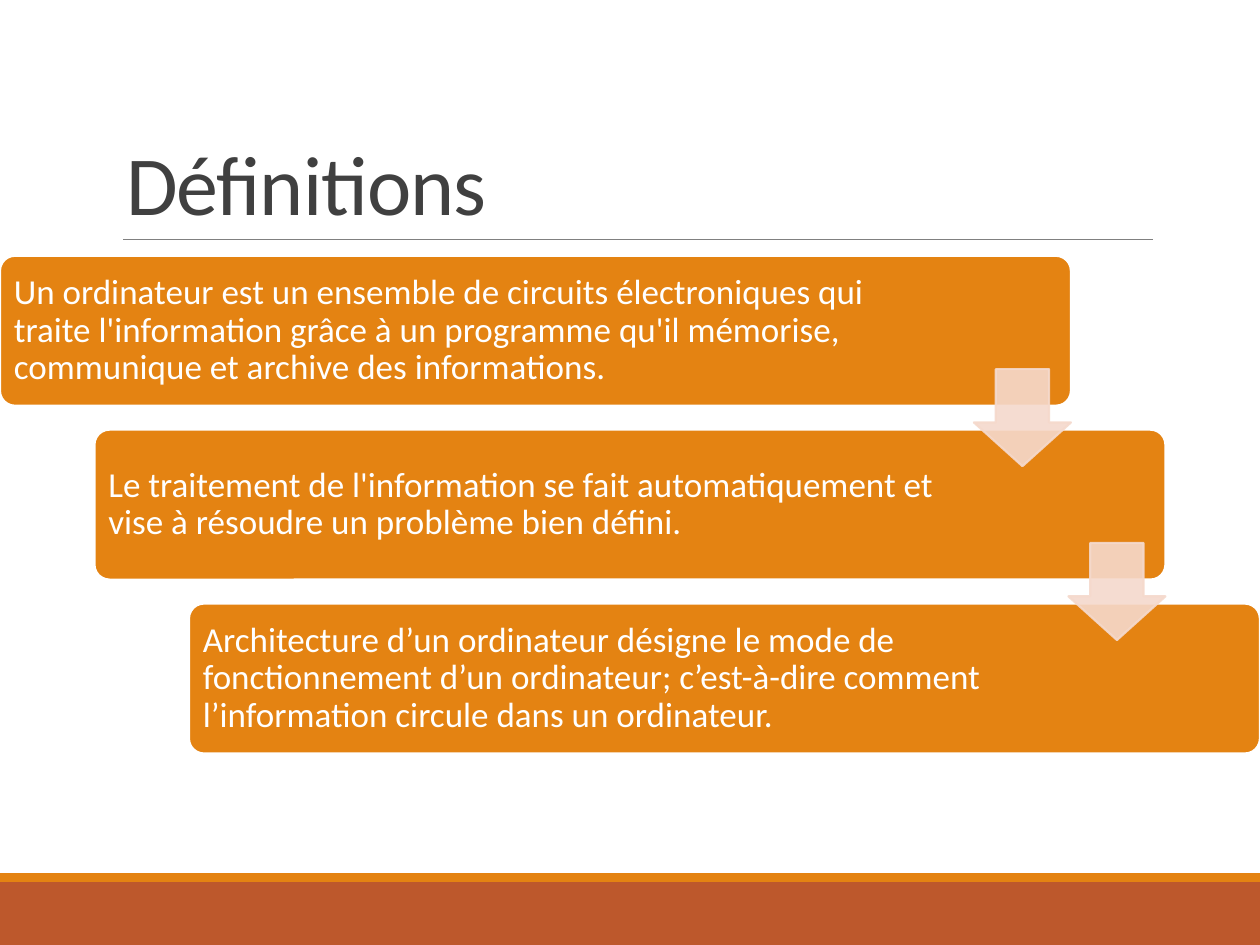
from lxml import etree
from pptx import Presentation
from pptx.dml.color import RGBColor
from pptx.enum.shapes import MSO_CONNECTOR, MSO_SHAPE
from pptx.enum.text import MSO_ANCHOR, MSO_AUTO_SIZE, PP_ALIGN
from pptx.oxml.ns import qn
from pptx.util import Inches, Pt

RECTANGLE = MSO_SHAPE.RECTANGLE
ROUNDED = MSO_SHAPE.ROUNDED_RECTANGLE
DOWN_ARROW = MSO_SHAPE.DOWN_ARROW
STRAIGHT = MSO_CONNECTOR.STRAIGHT
MIDDLE, BOTTOM = MSO_ANCHOR.MIDDLE, MSO_ANCHOR.BOTTOM
LEFT = PP_ALIGN.LEFT
NO_AUTOFIT = MSO_AUTO_SIZE.NONE

ORANGE = RGBColor(0xE4, 0x83, 0x12)
RUST = RGBColor(0xBD, 0x58, 0x2C)
PINK = RGBColor(0xF5, 0xD9, 0xCC)
WHITE = RGBColor(0xFF, 0xFF, 0xFF)
GREY = RGBColor(0x80, 0x80, 0x80)
DARK = RGBColor(0x40, 0x40, 0x40)
FONT = "Calibri"

# Each step: text, width of its text area
STEPS = [
    ("Un ordinateur est un ensemble de circuits électroniques qui traite "
     "l'information grâce à un programme qu'il mémorise, communique et "
     "archive des informations.", 7.22),
    ("Le traitement de l'information se fait automatiquement et vise à "
     "résoudre un problème bien défini.", 6.91),
    ("Architecture d’un ordinateur désigne le mode de fonctionnement d’un "
     "ordinateur; c’est-à-dire comment l’information circule dans un "
     "ordinateur.", 6.91),
]
STEP_WIDTH, STEP_HEIGHT = 8.5, 1.19
ARROW_SIZE = 0.77
TEXT_INSET = 0.03


def add_box(shapes, kind, left, top, width, height, fill, line=None):
    box = shapes.add_shape(kind, Inches(left), Inches(top),
                           Inches(width), Inches(height))
    box.shadow.inherit = False
    box.fill.solid()
    box.fill.fore_color.rgb = fill
    if line is None:
        box.line.fill.background()
    else:
        box.line.color.rgb = line
        box.line.width = Pt(1.25)
    return box


def write_text(frame, text, size, color, spacing):
    para = frame.paragraphs[0]
    para.alignment = LEFT
    para.line_spacing = spacing
    span = para.add_run()
    span.text = text
    span.font.name = FONT
    span.font.size = Pt(size)
    span.font.color.rgb = color
    return para, span


def add_footer(page, left, top, width):
    add_box(page.shapes, RECTANGLE, left, top + 0.07, width, 0.5, RUST)
    add_box(page.shapes, RECTANGLE, left, top, width, 0.07, ORANGE)


def add_title(page, left, top, width, height):
    title = page.shapes.title
    title.left, title.top = Inches(left), Inches(top)
    title.width, title.height = Inches(width), Inches(height)
    frame = title.text_frame
    frame.auto_size = NO_AUTOFIT
    frame.vertical_anchor = BOTTOM
    frame.word_wrap = True
    _, span = write_text(frame, "Définitions", 48, DARK, 0.85)
    span.font._element.set("spc", "-50")

    # Rule under the title
    bottom, right = Inches(top + height), Inches(left + width)
    rule = page.shapes.add_connector(STRAIGHT, Inches(left + 0.08), bottom,
                                     right, bottom)
    rule.line.color.rgb = GREY
    rule.line.width = Pt(0.5)
    etree.SubElement(rule._element.spPr, qn("a:effectLst"))


def add_step(shapes, left, top, text, text_width):
    box = add_box(shapes, ROUNDED, left, top, STEP_WIDTH, STEP_HEIGHT,
                  ORANGE, WHITE)
    box.adjustments[0] = 0.1
    label = shapes.add_textbox(
        Inches(left + TEXT_INSET), Inches(top + TEXT_INSET),
        Inches(text_width), Inches(STEP_HEIGHT - 2 * TEXT_INSET))
    frame = label.text_frame
    frame.word_wrap = True
    frame.vertical_anchor = MIDDLE
    frame.margin_left = frame.margin_right = Inches(0.08)
    frame.margin_top = frame.margin_bottom = Inches(0.08)
    para, _ = write_text(frame, text, 20, WHITE, 0.9)
    para.space_after = Pt(7)


def add_arrow(shapes, left, top):
    arrow = add_box(shapes, DOWN_ARROW, left, top, ARROW_SIZE, ARROW_SIZE,
                    PINK, PINK)
    arrow.adjustments[0] = 0.55
    arrow.adjustments[1] = 0.45
    # Fill and outline are slightly transparent
    for color in arrow._element.spPr.iter(qn("a:srgbClr")):
        etree.SubElement(color, qn("a:alpha"), val="90000")


def add_staircase(page, left, top, width, height):
    shapes = page.shapes.add_group_shape().shapes
    gaps = len(STEPS) - 1
    shift = (width - STEP_WIDTH) / gaps
    drop = (height - STEP_HEIGHT) / gaps
    for index, (text, text_width) in enumerate(STEPS):
        add_step(shapes, left + index * shift, top + index * drop,
                 text, text_width)
    # Arrows overlap the right end of each step and the next one
    for index in range(gaps):
        add_arrow(shapes, left + index * shift + STEP_WIDTH - ARROW_SIZE,
                  top + index * drop + 0.9)


def main():
    deck = Presentation()
    deck.slide_width, deck.slide_height = Inches(10), Inches(7.5)
    page = deck.slides.add_slide(deck.slide_layouts[5])
    add_footer(page, 0, 6.93, 10)
    add_title(page, 0.9, 0.31, 8.25, 1.59)
    add_staircase(page, 0, 2.03, 10, 3.95)
    deck.save("out.pptx")


if __name__ == "__main__":
    main()
